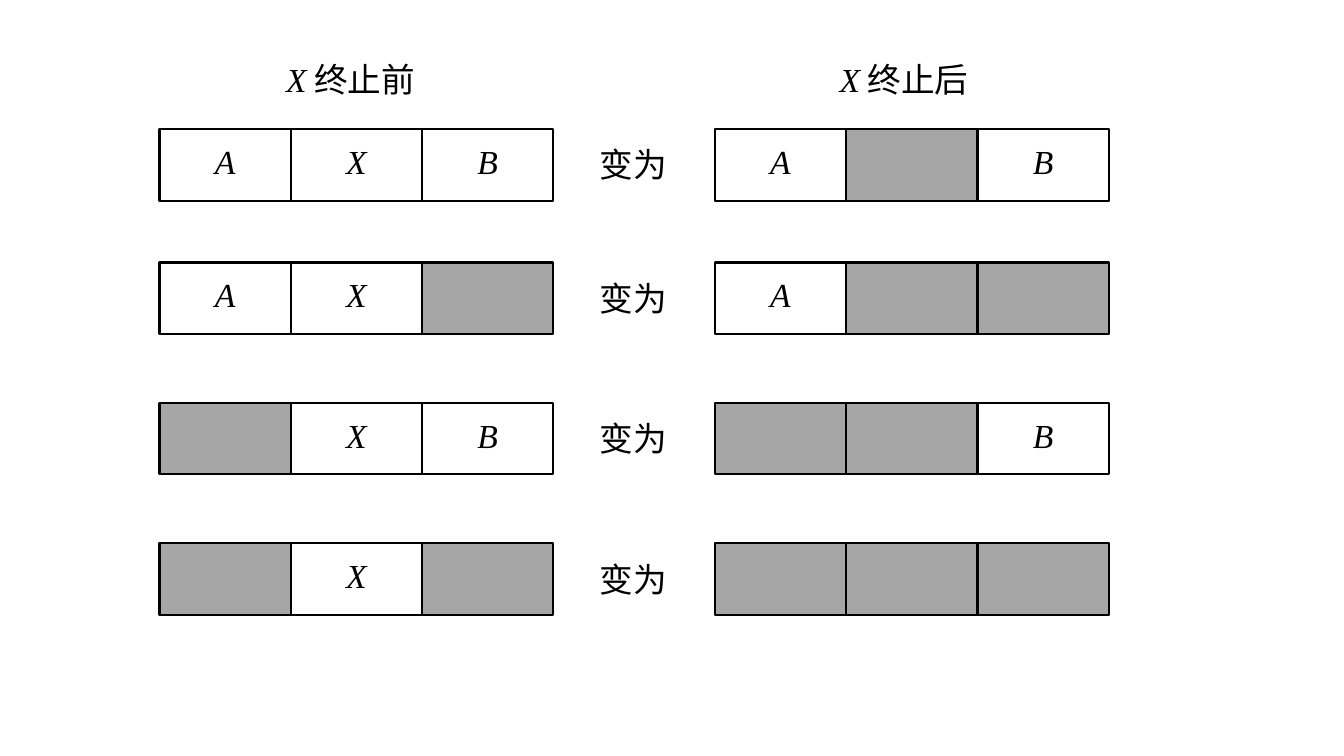
"""Draw the four cases of merging free memory when process X ends."""
import lxml.etree
import pptx
import pptx.dml.color
import pptx.enum.shapes
import pptx.enum.text
import pptx.oxml.ns
import pptx.util

BLACK = pptx.dml.color.RGBColor(0x00, 0x00, 0x00)
GRAY = pptx.dml.color.RGBColor(0xA6, 0xA6, 0xA6)
LATIN = "Times New Roman"
CHINESE = "Noto Sans CJK SC"
FREE = " "
CELL_WIDTH, CELL_HEIGHT = 93.8, 51.1
BEFORE_LEFT, AFTER_LEFT, BECOMES_LEFT = 113.9, 510.6, 421.2
CASES = [
    (92.2, "AXB", "A B"),
    (187.5, "AX ", "A  "),
    (287.8, " XB", "  B"),
    (388.1, " X ", "   "),
]


class MemoryPage:
    def __init__(self, page):
        self.page = page

    def add_text(self, paragraph, letter="", chinese=""):
        paragraph.font.size = pptx.util.Pt(24)
        paragraph.font.color.rgb = BLACK
        paragraph.font.name = LATIN if letter else CHINESE
        defaults = paragraph._p.pPr.find(pptx.oxml.ns.qn("a:defRPr"))
        lxml.etree.SubElement(defaults, pptx.oxml.ns.qn("a:ea"), typeface=CHINESE)
        if letter:
            span = paragraph.add_run()
            span.text = letter
            span.font.italic = True
        if chinese:
            span = paragraph.add_run()
            span.text = chinese
            span.font.name = CHINESE

    def label(self, left, top, width, letter="", chinese=""):
        box = self.page.shapes.add_textbox(*map(pptx.util.Pt, (left, top, width, 36.3)))
        box.text_frame.word_wrap = True
        self.add_text(box.text_frame.paragraphs[0], letter, chinese)

    def cell(self, left, top, owner):
        box = self.page.shapes.add_shape(
            pptx.enum.shapes.MSO_SHAPE.RECTANGLE,
            *map(pptx.util.Pt, (left, top, CELL_WIDTH, CELL_HEIGHT)),
        )
        box.shadow.inherit = False
        box.line.color.rgb = BLACK
        box.line.width = pptx.util.Pt(1.5)
        if owner == FREE:
            box.fill.solid()
            box.fill.fore_color.rgb = GRAY
            return
        box.fill.background()
        frame = box.text_frame
        frame.vertical_anchor = pptx.enum.text.MSO_ANCHOR.TOP
        frame.margin_top = pptx.util.Pt(8.4)
        frame.paragraphs[0].alignment = pptx.enum.text.PP_ALIGN.CENTER
        self.add_text(frame.paragraphs[0], owner)

    def memory(self, left, top, owners):
        for index, owner in enumerate(owners):
            self.cell(left + index * CELL_WIDTH, top, owner)


def main():
    deck = pptx.Presentation()
    deck.slide_width = pptx.util.Pt(960)
    deck.slide_height = pptx.util.Pt(540)
    page = MemoryPage(deck.slides.add_slide(deck.slide_layouts[6]))
    page.label(197.2, 38.6, 144.7, "X", " 终止前")
    page.label(592.6, 38.6, 144.7, "X", " 终止后")
    for top, before, after in CASES:
        page.memory(BEFORE_LEFT, top, before)
        page.label(BECOMES_LEFT, top + 7.3, 97.2, chinese="变为")
        page.memory(AFTER_LEFT, top, after)
    deck.save("out.pptx")


if __name__ == "__main__":
    main()
